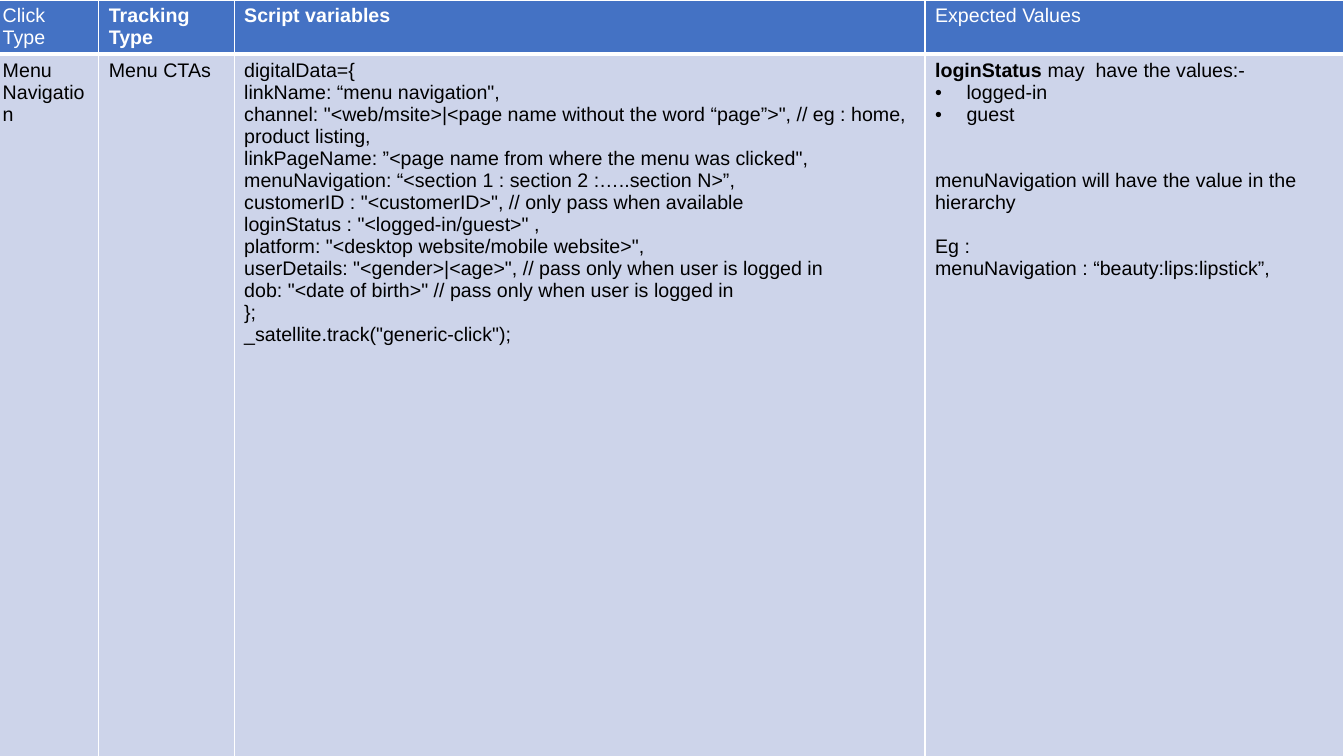
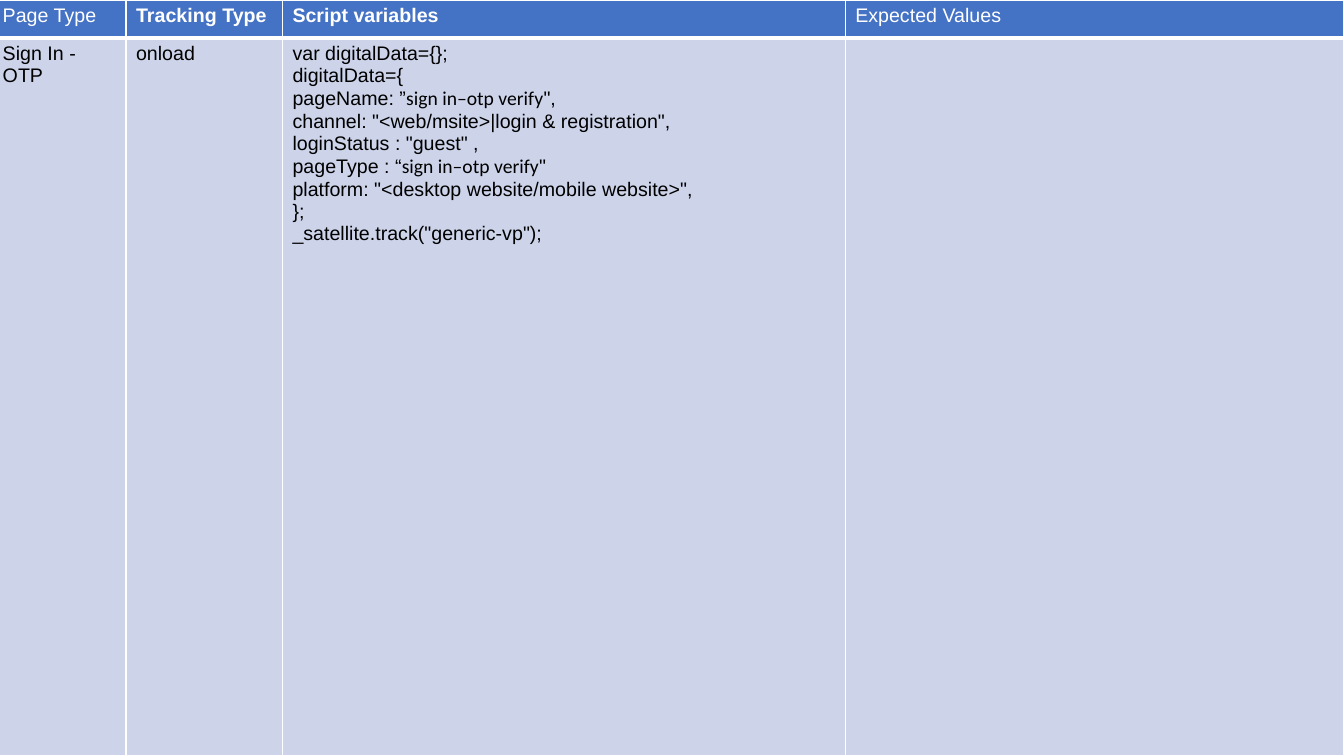
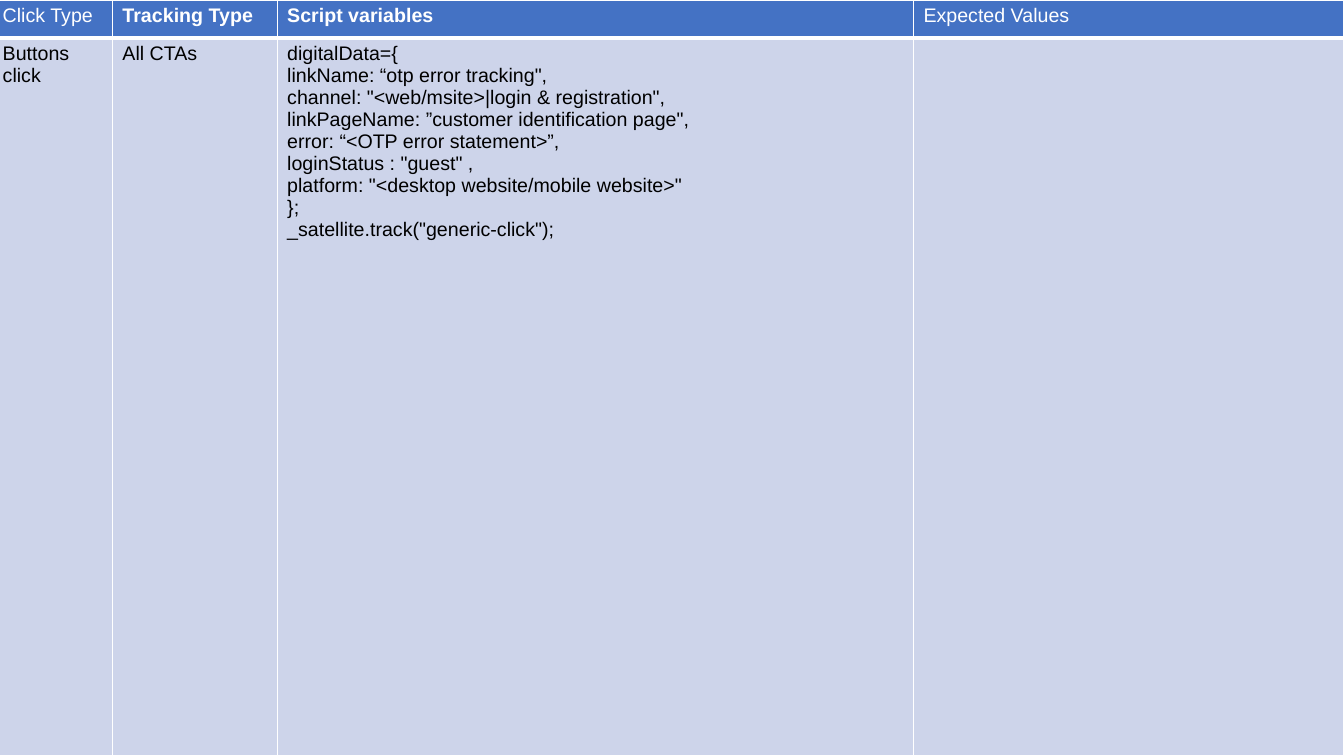
from dataclasses import dataclass

import pptx
import pptx.dml.color
import pptx.oxml
import pptx.oxml.ns
import pptx.util

PX = 9525
SLIDE_W, SLIDE_H = 1280, 720
TABLE_LEFT = -7
BULLET_INDENT = 30
FONT = "Arial"
ALT_FONT = "Calibri"
TEXT_SIZE = pptx.util.Pt(14)
BLANK_LINE = 15.7

WHITE = pptx.dml.color.RGBColor(0xFF, 0xFF, 0xFF)
BLACK = pptx.dml.color.RGBColor(0x00, 0x00, 0x00)
HEADER_BLUE = pptx.dml.color.RGBColor(0x44, 0x72, 0xC4)
BODY_BLUE = pptx.dml.color.RGBColor(0xCD, 0xD4, 0xEA)


@dataclass(frozen=True)
class Span:
    text: str
    bold: bool = False
    font: str = FONT


@dataclass(frozen=True)
class Line:
    spans: tuple[Span, ...]
    bullet: bool = False
    gap_lines: int = 0


@dataclass(frozen=True)
class TrackingTable:
    type_heading: str
    widths: tuple[int, int, int]
    header_height: int
    cells: tuple[tuple[Line, ...], ...]


def px(n: int) -> pptx.util.Emu:
    return pptx.util.Emu(n * PX)


def plain(*texts: str) -> tuple[Line, ...]:
    return tuple(Line((Span(t),)) for t in texts)


def quoted(before: str, value: str, after: str) -> Line:
    return Line((Span(before), Span(value, font=ALT_FONT), Span(after)))


def add_border(tcPr, side: str, width: int) -> None:
    tcPr.append(pptx.oxml.parse_xml(
        f'<a:ln{side} {pptx.oxml.ns.nsdecls("a")} w="{pptx.util.Pt(width)}">'
        f'<a:solidFill><a:srgbClr val="{WHITE}"/></a:solidFill></a:ln{side}>'))


def add_bullet(p) -> None:
    pPr = p._p.get_or_add_pPr()
    pPr.set("marL", str(px(BULLET_INDENT)))
    pPr.set("indent", str(px(-BULLET_INDENT)))
    ns = pptx.oxml.ns.nsdecls("a")
    for xml in (f'<a:buClr {ns}><a:srgbClr val="{BLACK}"/></a:buClr>',
                f'<a:buFont {ns} typeface="{FONT}"/>',
                f'<a:buChar {ns} char="•"/>'):
        pPr.append(pptx.oxml.parse_xml(xml))


def add_span(p, span: Span, color: pptx.dml.color.RGBColor) -> None:
    for i, text in enumerate(span.text.split("\n")):
        if i:
            p.add_line_break()
        r = p.add_run()
        r.text = text
        r.font.name = span.font
        r.font.size = TEXT_SIZE
        r.font.bold = span.bold
        r.font.color.rgb = color


def fill_cell(cell, lines: tuple[Line, ...], header: bool) -> None:
    tcPr = cell._tc.get_or_add_tcPr()
    heavy_side = "B" if header else "T"
    for side in "LRTB":
        add_border(tcPr, side, 3 if side == heavy_side else 1)
    cell.fill.solid()
    cell.fill.fore_color.rgb = HEADER_BLUE if header else BODY_BLUE
    tf = cell.text_frame
    for i, line in enumerate(lines):
        p = tf.add_paragraph() if i else tf.paragraphs[0]
        if line.gap_lines:
            p.space_before = pptx.util.Pt(BLANK_LINE * line.gap_lines)
        if line.bullet:
            add_bullet(p)
        for span in line.spans:
            add_span(p, span, WHITE if header else BLACK)


def add_tracking_slide(prs, spec_table: TrackingTable) -> None:
    slide = prs.slides.add_slide(prs.slide_layouts[6])
    width = SLIDE_W - TABLE_LEFT
    table = slide.shapes.add_table(
        2, 4, px(TABLE_LEFT), px(0), px(width), px(SLIDE_H)).table
    table.horz_banding = False
    widths = (*spec_table.widths, width - sum(spec_table.widths))
    for column, w in zip(table.columns, widths):
        column.width = px(w)
    table.rows[0].height = px(spec_table.header_height)
    table.rows[1].height = px(SLIDE_H - spec_table.header_height)
    headings = (Span(spec_table.type_heading), Span("Tracking Type", bold=True),
                Span("Script variables", bold=True), Span("Expected Values"))
    for col, (heading, lines) in enumerate(zip(headings, spec_table.cells)):
        fill_cell(table.cell(0, col), (Line((heading,)),), True)
        fill_cell(table.cell(1, col), lines, False)


TABLES = (
    TrackingTable("Click Type", (101, 129, 658), 51, (
        plain("Menu Navigation"),
        plain("Menu CTAs"),
        plain(
            'digitalData={',
            'linkName: “menu navigation",\n'
            'channel: "<web/msite>|<page name without the word “page”>", '
            '// eg : home, product listing,',
            'linkPageName: ”<page name from where the menu was clicked",',
            'menuNavigation: “<section 1 : section 2 :…..section N>”,',
            'customerID : "<customerID>", // only pass when available',
            'loginStatus : "<logged-in/guest>" ,\n'
            'platform: "<desktop website/mobile website>",\n'
            'userDetails: "<gender>|<age>", // pass only when user is logged in\n'
            'dob: "<date of birth>" // pass only when user is logged in',
            '};',
            '_satellite.track("generic-click");'),
        (
            Line((Span("loginStatus ", bold=True), Span("may  have the values:-"))),
            Line((Span("logged-in"),), bullet=True),
            Line((Span("guest"),), bullet=True),
            Line((Span("menuNavigation will have the value in the hierarchy"),),
                 gap_lines=2),
            Line((Span("Eg :"),), gap_lines=1),
            Line((Span("menuNavigation : “beauty:lips:lipstick”,"),)),
        ))),
    TrackingTable("Page Type", (127, 149, 536), 36, (
        plain("Sign In - OTP"),
        plain("onload"),
        (
            *plain('var digitalData={};', 'digitalData={'),
            quoted('pageName: ”', 'sign in–otp verify', '",'),
            *plain('channel: "<web/msite>|login & registration",',
                   'loginStatus : "guest" ,'),
            quoted('pageType : “', 'sign in–otp verify', '"'),
            *plain('platform: "<desktop website/mobile website>",\n};',
                   '_satellite.track("generic-vp");'),
        ),
        ())),
    TrackingTable("Click Type", (114, 157, 606), 36, (
        plain("Buttons click"),
        plain("All CTAs"),
        plain(
            'digitalData={',
            'linkName: “otp error tracking",',
            'channel: "<web/msite>|login & registration",',
            'linkPageName: ”customer identification page",',
            'error: “<OTP error statement>”,',
            'loginStatus : "guest" ,\n'
            'platform: "<desktop website/mobile website>"',
            '};',
            '_satellite.track("generic-click");'),
        ())),
)


def main() -> None:
    prs = pptx.Presentation()
    prs.slide_width, prs.slide_height = px(SLIDE_W), px(SLIDE_H)
    for tracking_table in TABLES:
        add_tracking_slide(prs, tracking_table)
    prs.save("out.pptx")


if __name__ == "__main__":
    main()
